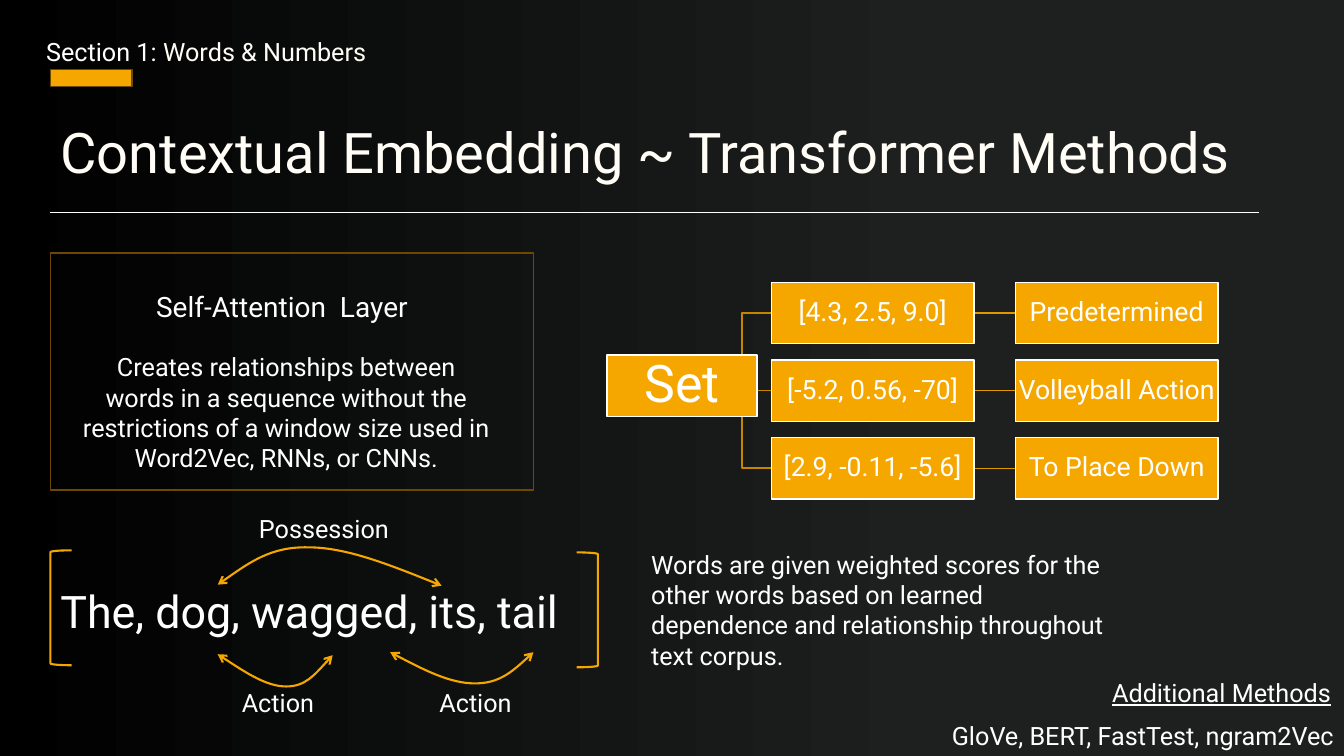
from dataclasses import dataclass

from lxml.etree import SubElement
from pptx import Presentation
from pptx.dml.color import RGBColor
from pptx.enum.shapes import MSO_CONNECTOR as Link, MSO_SHAPE as Preset
from pptx.enum.text import MSO_ANCHOR as Anchor, MSO_AUTO_SIZE as AutoSize, PP_ALIGN as Align
from pptx.oxml.ns import qn
from pptx.util import Inches, Pt


@dataclass(frozen=True)
class Theme:
    font: str = "Roboto"
    white: str = "FFFFFF"
    cream: str = "FFFDF6"
    amber: str = "F5A700"
    brown: str = "6B4900"
    trunk: str = "C48600"
    branch: str = "DE9800"
    night: str = "000000"
    charcoal: str = "1E2020"
    title: int = 40
    root: int = 37
    sentence: int = 32
    heading: int = 20
    node: int = 19
    body: int = 18


THEME = Theme()


@dataclass(frozen=True)
class Label:
    text: str
    left: float
    top: float
    width: float
    height: float = 0.4
    size: int = THEME.body
    align: Align = Align.LEFT
    underline: bool = False


@dataclass(frozen=True)
class Box:
    left: float
    top: float
    width: float
    height: float
    fill: str | None = None
    line: str = THEME.brown
    weight: float = 1
    preset: Preset = Preset.RECTANGLE
    rotation: int = 0
    text: str = ""
    size: int = THEME.node


@dataclass(frozen=True)
class Arc:
    """Two cubic curves through seven points, in inches."""
    points: tuple[tuple[float, float], ...]


def color(value: str) -> RGBColor:
    return RGBColor.from_string(value)


def format_span(span, size: int, shade: str = THEME.white) -> None:
    span.font.name = THEME.font
    span.font.size = Pt(size)
    span.font.color.rgb = color(shade)


def draw_label(page, label: Label):
    box = page.shapes.add_textbox(*map(Inches, (label.left, label.top, label.width, label.height)))
    frame = box.text_frame
    frame.word_wrap = True
    frame.text = label.text
    para = frame.paragraphs[0]
    para.alignment = label.align
    format_span(para.runs[0], label.size)
    if label.underline:
        para.runs[0].font.underline = True
    return para


def draw_box(page, box: Box) -> None:
    shape = page.shapes.add_shape(box.preset, *map(Inches, (box.left, box.top, box.width, box.height)))
    shape.shadow.inherit = False
    shape.rotation = box.rotation
    if box.fill:
        shape.fill.solid()
        shape.fill.fore_color.rgb = color(box.fill)
    else:
        shape.fill.background()
    shape.line.color.rgb = color(box.line)
    shape.line.width = Pt(box.weight)
    if box.text:
        frame = shape.text_frame
        frame.margin_left = frame.margin_right = frame.margin_top = frame.margin_bottom = Inches(0.01)
        frame.vertical_anchor = Anchor.MIDDLE
        frame.text = box.text
        para = frame.paragraphs[0]
        para.alignment = Align.CENTER
        para.line_spacing = 0.9
        format_span(para.runs[0], box.size)


def draw_link(page, kind: Link, start: tuple[float, float], end: tuple[float, float],
              shade: str, weight: float = 1) -> None:
    link = page.shapes.add_connector(kind, *map(Inches, (*start, *end)))
    link.line.color.rgb = color(shade)
    link.line.width = Pt(weight)
    SubElement(link._element.spPr, qn("a:effectLst"))


def draw_arc(page, arc: Arc) -> None:
    points = [(Inches(x), Inches(y)) for x, y in arc.points]
    builder = page.shapes.build_freeform(*points[0])
    builder.add_line_segments(points[1:], close=False)
    shape = builder.convert_to_shape()
    shape.shadow.inherit = False
    shape.fill.background()
    shape.line.color.rgb = color(THEME.amber)
    shape.line.width = Pt(1.5)
    # Every three line segments become one cubic curve
    outline = next(shape._element.iter(qn("a:path")))
    segments = outline.findall(qn("a:lnTo"))
    for first in range(0, len(segments), 3):
        curve = SubElement(outline, qn("a:cubicBezTo"))
        for segment in segments[first:first + 3]:
            curve.append(segment[0])
            outline.remove(segment)
    for end in ("a:headEnd", "a:tailEnd"):
        SubElement(shape.line._get_or_add_ln(), qn(end), type="arrow")


LABELS = (
    Label("Self-Attention  Layer", 1.45, 2.82, 4.65, 0.44, THEME.heading),
    Label("Creates relationships between words in a sequence without the restrictions "
          "of a window size used in Word2Vec, RNNs, or CNNs.", 0.71, 3.44, 4.26, 1.31, align=Align.CENTER),
    Label("The, dog, wagged, its, tail", 0.5, 5.74, 5.6, 0.64, THEME.sentence),
    Label("Action", 2.3, 6.77, 1.57),
    Label("Possession", 2.47, 5.04, 1.57),
    Label("Action", 4.26, 6.77, 1.57),
    Label("Words are given weighted scores for the other words based on learned "
          "dependence and relationship throughout text corpus.", 6.36, 5.4, 4.91, 1.31),
    Label("GloVe, BERT, FastTest, ngram2Vec", 8.83, 7.1, 4.5, align=Align.RIGHT),
    Label("Additional Methods", 10.23, 6.67, 3.07, align=Align.RIGHT, underline=True),
)
BOXES = (
    Box(0.5, 0.69, 0.81, 0.17, THEME.amber),
    Box(0.5, 2.51, 4.79, 2.35),
    Box(0.5, 5.46, 0.21, 1.14, None, THEME.amber, 1.5, Preset.LEFT_BRACKET),
    Box(5.72, 5.48, 0.21, 1.14, None, THEME.amber, 1.5, Preset.LEFT_BRACKET, 180),
)
ARCS = (
    Arc(((4.38, 5.81), (3.91, 5.62), (3.43, 5.43), (3.06, 5.43), (2.69, 5.42), (2.43, 5.61), (2.16, 5.8))),
    Arc(((2.16, 6.49), (2.4, 6.65), (2.65, 6.81), (2.84, 6.81), (3.03, 6.81), (3.16, 6.65), (3.3, 6.5))),
    Arc(((3.87, 6.47), (4.17, 6.63), (4.47, 6.78), (4.71, 6.78), (4.95, 6.78), (5.12, 6.63), (5.29, 6.47))),
)
MEANINGS = (
    ("[4.3, 2.5, 9.0]", "Predetermined"),
    ("[-5.2, 0.56, -70]", "Volleyball Action"),
    ("[2.9, -0.11, -5.6]", "To Place Down"),
)


def draw_tree(page) -> None:
    vector_left, meaning_left, first_top = 7.65, 10.07, 2.8
    node_width, node_height, row_step = 2.01, 0.61, 0.77
    nodes = [Box(6.02, 3.52, 1.49, node_height, THEME.amber, THEME.white, text="Set", size=THEME.root)]
    for row, texts in enumerate(MEANINGS):
        top = first_top + row * row_step
        middle = top + node_height / 2
        draw_link(page, Link.ELBOW, (7.07, 3.83), (vector_left, middle), THEME.trunk)
        draw_link(page, Link.STRAIGHT, (vector_left + node_width, middle), (meaning_left, middle), THEME.branch)
        for left, text in zip((vector_left, meaning_left), texts):
            nodes.append(Box(left, top, node_width, node_height, THEME.amber, THEME.white, text=text))
    for node in nodes:
        draw_box(page, node)


def main() -> None:
    deck = Presentation()
    deck.slide_width, deck.slide_height = Inches(13.33), Inches(7.5)
    page = deck.slides.add_slide(deck.slide_layouts[5])

    # Background, dark from left to right
    backdrop = page.background.fill
    backdrop.gradient()
    backdrop.gradient_angle = 0
    for stop, position, shade in zip(backdrop.gradient_stops, (0, 0.69), (THEME.night, THEME.charcoal)):
        stop.position = position
        stop.color.rgb = color(shade)

    # Title and rule
    title = page.shapes.title
    title.left, title.top, title.width, title.height = map(Inches, (0.5, 1.12, 12.33, 0.77))
    frame = title.text_frame
    frame.text = "Contextual Embedding ~ Transformer Methods"
    frame.auto_size = AutoSize.NONE
    frame.vertical_anchor = Anchor.TOP
    frame.paragraphs[0].alignment = Align.LEFT
    format_span(frame.paragraphs[0].runs[0], THEME.title, THEME.cream)
    draw_link(page, Link.STRAIGHT, (0.5, 2.11), (12.49, 2.11), THEME.white, 0.5)

    # Section line in two tones
    section = draw_label(page, Label("Section 1: ", 0.36, 0.31, 6.67))
    span = section.add_run()
    span.text = "Words & Numbers"
    format_span(span, THEME.body, THEME.cream)

    # Panels, sentence arcs, word tree and labels
    for box in BOXES:
        draw_box(page, box)
    for arc in ARCS:
        draw_arc(page, arc)
    draw_tree(page)
    for label in LABELS:
        draw_label(page, label)

    deck.save("out.pptx")


if __name__ == "__main__":
    main()
